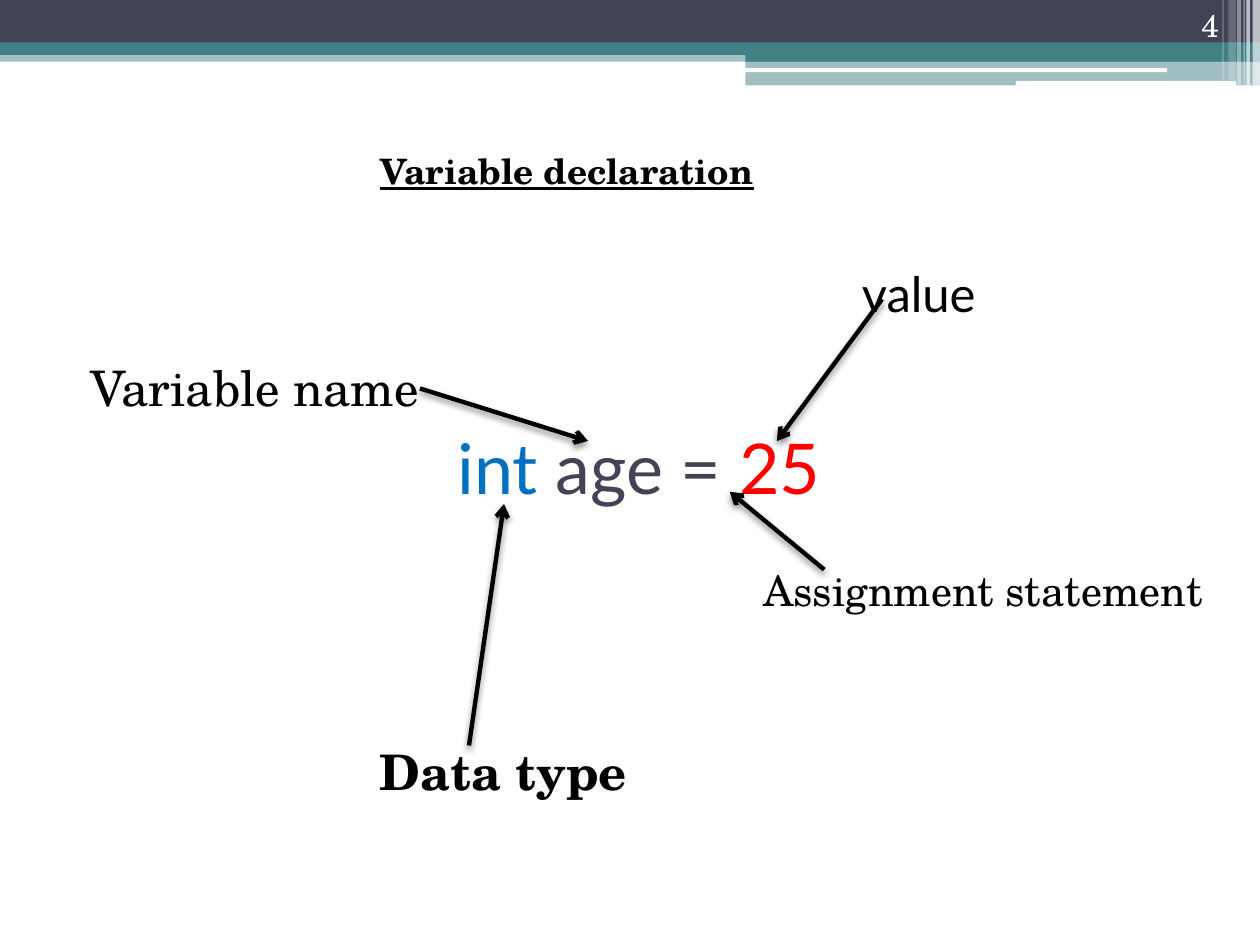
from lxml import etree
from pptx import Presentation
from pptx.dml.color import RGBColor
from pptx.enum.shapes import MSO_CONNECTOR, MSO_SHAPE as SHAPE
from pptx.enum.text import MSO_ANCHOR as ANCHOR, MSO_AUTO_SIZE as FIT, PP_ALIGN as ALIGN
from pptx.oxml import parse_xml
from pptx.oxml.ns import nsdecls, qn
from pptx.util import Pt

rgb = RGBColor.from_string
SERIF, SANS = "TeX Gyre Schola", "Lato"
SLATE, TEAL, WHITE, BLACK = "424456", "438086", "FFFFFF", "000000"


def add_run(p, text, size, font, color, bold=False, underline=False):
    r = p.add_run()
    r.text = text
    r.font.size = Pt(size)
    r.font.name = font
    r.font.color.rgb = rgb(color)
    r.font.bold = bold
    r.font.underline = underline


prs = Presentation()
prs.slide_width, prs.slide_height = Pt(720), Pt(540)
s = prs.slides.add_slide(prs.slide_layouts[5])

bands = [
    (SHAPE.RECTANGLE, 0, 28.8, 720, 6.5, TEAL, 50),
    (SHAPE.RECTANGLE, 0, 0, 720, 24.5, SLATE, 100),
    (SHAPE.RECTANGLE, 0, 24.2, 720, 7.2, TEAL, 100),
    (SHAPE.RECTANGLE, 426, 28, 294, 7.2, TEAL, 100),
    (SHAPE.RECTANGLE, 426, 34.6, 294, 14.2, TEAL, 50),
    (SHAPE.ROUNDED_RECTANGLE, 425.6, 39, 241.2, 2.2, WHITE, 100),
    (SHAPE.ROUNDED_RECTANGLE, 580.4, 46.2, 126, 2.9, WHITE, 100),
]
stripes = [
    (715.8, 4.2, 49, 65),
    (712.2, 2.1, 49, 65),
    (710.6, 0.7, 49, 60),
    (707, 2.1, 49, 40),
    (702, 4.3, 46, 20),
    (698.5, 0.7, 46, 30),
]
bands += [(SHAPE.RECTANGLE, x, 0, w, h, WHITE, alpha) for x, w, h, alpha in stripes]

for kind, x, y, w, h, color, alpha in bands:
    sp = s.shapes.add_shape(kind, Pt(x), Pt(y), Pt(w), Pt(h))
    sp.shadow.inherit = False
    sp.line.fill.background()
    sp.fill.solid()
    sp.fill.fore_color.rgb = rgb(color)
    if alpha < 100:
        clr = sp.fill._xPr.find(".//" + qn("a:srgbClr"))
        etree.SubElement(clr, qn("a:alpha")).set("val", str(alpha * 1000))

title = s.shapes.title
title.left, title.top, title.width, title.height = Pt(36), Pt(90), Pt(648), Pt(204)
tf = title.text_frame
tf.auto_size = FIT.NONE
tf.vertical_anchor = ANCHOR.BOTTOM
p = tf.paragraphs[0]
p.alignment = ALIGN.CENTER
for text, color in [(" ", SLATE), ("int ", "0070C0"), ("age = ", SLATE), ("25", "FF0000")]:
    add_run(p, text, 40, SANS, color)

arrows = [
    (240, 222, 336, 252),
    (504, 171, 444, 252),
    (471, 325.5, 417, 281),
    (268, 426, 288, 288),
]
for x1, y1, x2, y2 in arrows:
    cx = s.shapes.add_connector(MSO_CONNECTOR.STRAIGHT, Pt(x1), Pt(y1), Pt(x2), Pt(y2))
    cx.line.color.rgb = rgb(BLACK)
    cx.line.width = Pt(2.5)
    etree.SubElement(cx.line._get_or_add_ln(), qn("a:tailEnd")).set("type", "arrow")
    cx._element.spPr.append(parse_xml(
        f'<a:effectLst {nsdecls("a")}>'
        f'<a:outerShdw blurRad="{Pt(4)}" dist="{Pt(2)}" dir="5400000" rotWithShape="0">'
        f'<a:srgbClr val="{BLACK}"><a:alpha val="45000"/></a:srgbClr>'
        '</a:outerShdw></a:effectLst>'))

labels = [
    ("Variable name", 44.6, 201, 240, 41, 28, SERIF, BLACK, ALIGN.LEFT, ANCHOR.TOP, False, False),
    ("4", 643.5, 0, 60, 28.8, 18, SERIF, WHITE, ALIGN.RIGHT, ANCHOR.BOTTOM, False, False),
    ("value", 456, 147, 138, 41, 28, SANS, BLACK, ALIGN.CENTER, ANCHOR.TOP, False, False),
    ("Variable declaration", 204, 82, 240, 31.5, 20, SERIF, BLACK, ALIGN.CENTER, ANCHOR.TOP, True, True),
    ("Assignment statement", 429, 319, 273, 36, 24, SERIF, BLACK, ALIGN.LEFT, ANCHOR.TOP, False, False),
    ("Data type", 210, 420, 156, 41, 28, SERIF, BLACK, ALIGN.LEFT, ANCHOR.TOP, True, False),
]
for text, x, y, w, h, size, font, color, align, anchor, bold, underline in labels:
    tf = s.shapes.add_textbox(Pt(x), Pt(y), Pt(w), Pt(h)).text_frame
    tf.word_wrap = True
    tf.vertical_anchor = anchor
    p = tf.paragraphs[0]
    p.alignment = align
    add_run(p, text, size, font, color, bold, underline)

prs.save("out.pptx")
